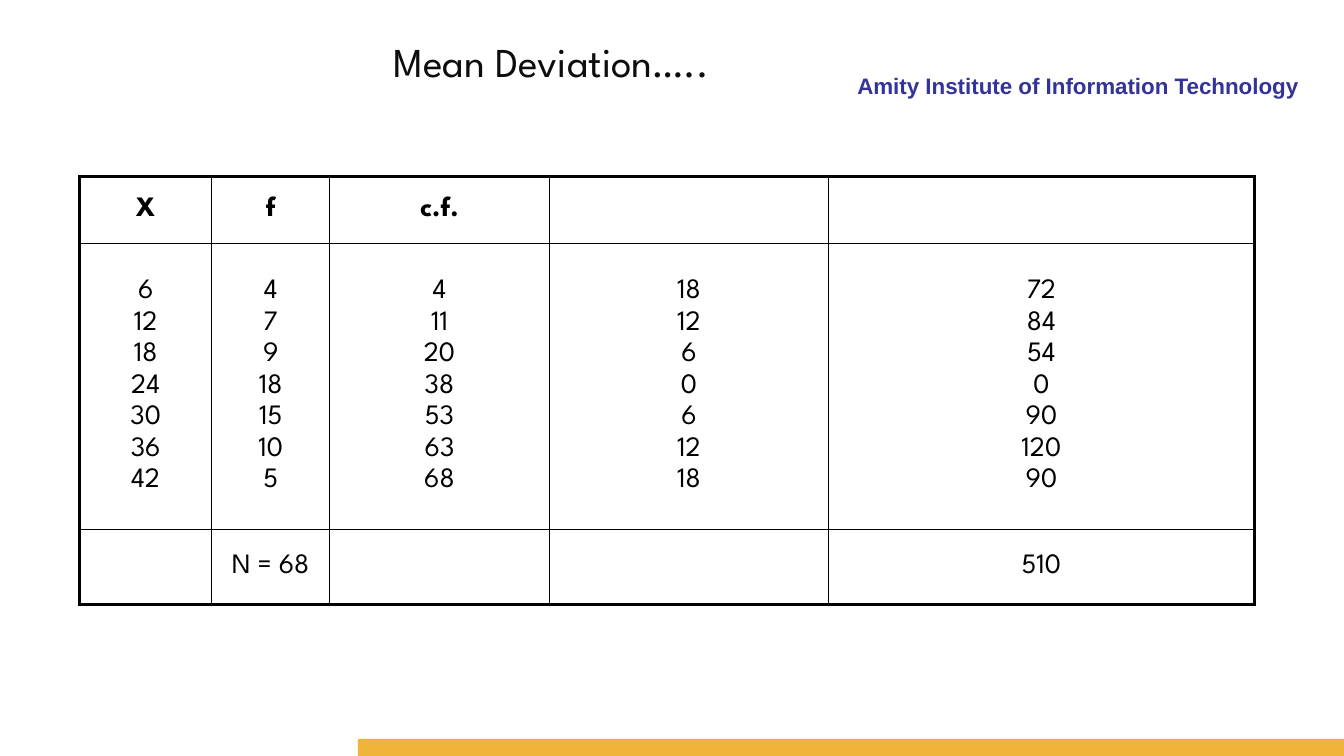
from lxml import etree
from pptx import Presentation, util as u
from pptx.dml.color import RGBColor
from pptx.enum import shapes, text
from pptx.oxml.ns import qn

BLACK = RGBColor(0x00, 0x00, 0x00)
INK = RGBColor(0x0D, 0x0D, 0x0D)
NAVY = RGBColor(0x33, 0x33, 0x99)
AMBER = RGBColor(0xF1, 0xB4, 0x3B)
BODY_FONT = "League Spartan"
THIN, THICK = 1, 2.25

COLUMNS = [
    (1.31, "X", [6, 12, 18, 24, 30, 36, 42], ""),
    (1.17, "f", [4, 7, 9, 18, 15, 10, 5], "N = 68"),
    (2.18, "c.f.", [4, 11, 20, 38, 53, 63, 68], ""),
    (2.77, "", [18, 12, 6, 0, 6, 12, 18], ""),
    (4.22, "", [72, 84, 54, 0, 90, 120, 90], "510"),
]
ROW_HEIGHTS = [0.67, 2.83, 0.75]


def style(p, name, size, color, bold, align):
    p.alignment = align
    p.font.name = name
    p.font.size = u.Pt(size)
    p.font.bold = bold
    p.font.color.rgb = color


def set_borders(cell, widths):
    tcPr = cell._tc.get_or_add_tcPr()
    for i, (side, width) in enumerate(widths.items()):
        ln = etree.Element(qn(f"a:ln{side}"), w=str(u.Pt(width)))
        fill = etree.SubElement(ln, qn("a:solidFill"))
        etree.SubElement(fill, qn("a:srgbClr"), val=str(BLACK))
        tcPr.insert(i, ln)


prs = Presentation()
prs.slide_width, prs.slide_height = u.Inches(13.33), u.Inches(7.5)
s = prs.slides.add_slide(prs.slide_layouts[5])

sp = s.shapes.add_textbox(u.Inches(5.09), u.Inches(0.68), u.Inches(7.89), u.Inches(0.33))
tf = sp.text_frame
tf.word_wrap = True
tf.vertical_anchor = text.MSO_ANCHOR.MIDDLE
tf.text = "Amity Institute of Information Technology"
style(tf.paragraphs[0], "Arial", 16, NAVY, True, text.PP_ALIGN.RIGHT)

bar_left, bar_top = u.Inches(3.55), u.Inches(7.33)
sp = s.shapes.add_shape(shapes.MSO_SHAPE.RECTANGLE, bar_left, bar_top,
                        prs.slide_width - bar_left, prs.slide_height - bar_top)
sp.shadow.inherit = False
sp.fill.solid()
sp.fill.fore_color.rgb = AMBER
sp.line.fill.background()

sp = s.shapes.title
sp.left, sp.top, sp.width, sp.height = (u.Inches(v) for v in (3.8, 0.31, 4.04, 0.59))
tf = sp.text_frame
tf.word_wrap = False
tf.auto_size = text.MSO_AUTO_SIZE.NONE
tf.vertical_anchor = text.MSO_ANCHOR.MIDDLE
tf.text = "Mean Deviation….."
style(tf.paragraphs[0], BODY_FONT, 29.3, INK, False, text.PP_ALIGN.LEFT)

sp = s.shapes.add_table(len(ROW_HEIGHTS), len(COLUMNS), u.Inches(0.79), u.Inches(1.75),
                        u.Inches(sum(c[0] for c in COLUMNS)), u.Inches(sum(ROW_HEIGHTS)))
table = sp.table
table.horz_banding = False
for row, height in zip(table.rows, ROW_HEIGHTS):
    row.height = u.Inches(height)

last_row, last_col = len(ROW_HEIGHTS) - 1, len(COLUMNS) - 1
for c, (width, head, values, total) in enumerate(COLUMNS):
    table.columns[c].width = u.Inches(width)
    for r, content in enumerate((head, "\n".join(map(str, values)), total)):
        cell = table.cell(r, c)
        cell.fill.background()
        cell.vertical_anchor = text.MSO_ANCHOR.MIDDLE
        set_borders(cell, {
            "L": THICK if c == 0 else THIN,
            "R": THICK if c == last_col else THIN,
            "T": THICK if r == 0 else THIN,
            "B": THICK if r == last_row else THIN,
        })
        if not content:
            continue
        cell.text = content
        for i, p in enumerate(cell.text_frame.paragraphs):
            style(p, BODY_FONT, 20, BLACK, r == 0, text.PP_ALIGN.CENTER)
            if i:
                p.space_before = u.Pt(4)

prs.save("out.pptx")
